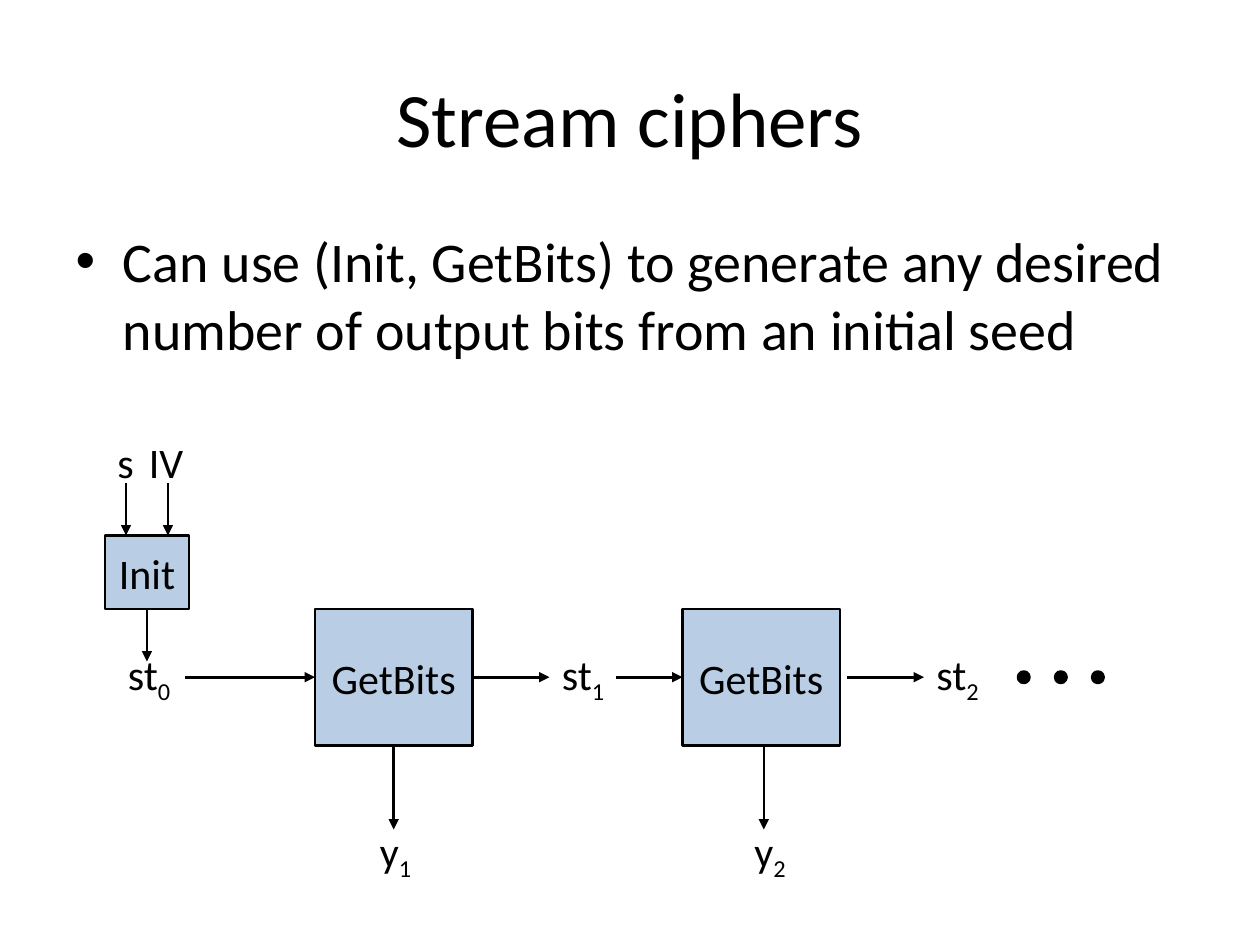
from lxml.etree import SubElement
from pptx import Presentation
from pptx.dml.color import RGBColor
from pptx.enum.shapes import MSO_CONNECTOR, MSO_SHAPE
from pptx.enum.text import MSO_ANCHOR, MSO_AUTO_SIZE, PP_ALIGN
from pptx.oxml.ns import qn
from pptx.util import Pt

THEME = {
    "font": "Calibri",
    "ink": RGBColor(0, 0, 0),
    "box": RGBColor(0xB9, 0xCD, 0xE5),
    "title": 44,
    "body": 32,
    "label": 24,
    "line": 1.5,
    "dot_line": 2,
}

TITLE = "Stream ciphers"
BULLET = ("Can use (Init, GetBits) to generate any desired "
          "number of output bits from an initial seed")

STATE_Y = 387
BOX_TOP, BOX_W, BOX_H = 348, 90, 78
INIT_LEFT, INIT_TOP, INIT_W, INIT_H = 60, 306, 48, 42
LABEL_H = 36
STATE_W, OUTPUT_W = 40, 34
INPUT_TOP, OUTPUT_TOP = 246, 468

INPUTS = [("s", 60, 24, 72), ("IV", 78, 34.5, 96)]
STATES = [("st_0", 66), ("st_1", 314), ("st_2", 528)]
STAGES = [("GetBits", 180, "y_1", 210, 225), ("GetBits", 390, "y_2", 424, 436.5)]
STATE_ARROWS = [(106, 180), (270, 314), (352, 390), (484, 528)]
DOT_LEFT, DOT_STEP, DOT_COUNT, DOT_SIZE = 582, 21.2, 3, 6


def write(frame, text, size=THEME["label"], align=PP_ALIGN.LEFT,
          anchor=MSO_ANCHOR.TOP, wrap=True):
    frame.word_wrap = wrap
    frame.vertical_anchor = anchor
    paragraph = frame.paragraphs[0]
    paragraph.alignment = align
    paragraph.space_before = Pt(0)
    for level, part in enumerate(text.split("_")):
        run = paragraph.add_run()
        run.text = part
        run.font.name = THEME["font"]
        run.font.size = Pt(size)
        run.font.color.rgb = THEME["ink"]
        if level:
            run.font._element.set("baseline", "-25000")


def place(placeholder, left, top, width, height):
    placeholder.left, placeholder.top = Pt(left), Pt(top)
    placeholder.width, placeholder.height = Pt(width), Pt(height)


def add_label(slide, text, left, top, width):
    label = slide.shapes.add_textbox(Pt(left), Pt(top), Pt(width), Pt(LABEL_H))
    write(label.text_frame, text, wrap=False)
    label.text_frame.auto_size = MSO_AUTO_SIZE.SHAPE_TO_FIT_TEXT


def add_figure(slide, kind, left, top, width, height, fill, line):
    figure = slide.shapes.add_shape(kind, Pt(left), Pt(top), Pt(width), Pt(height))
    figure.shadow.inherit = False
    figure.fill.solid()
    figure.fill.fore_color.rgb = fill
    figure.line.color.rgb = THEME["ink"]
    figure.line.width = Pt(line)
    return figure


def add_box(slide, text, left, top, width, height):
    box = add_figure(slide, MSO_SHAPE.RECTANGLE, left, top, width, height,
                     THEME["box"], THEME["line"])
    write(box.text_frame, text, align=PP_ALIGN.CENTER, anchor=MSO_ANCHOR.MIDDLE)


def add_arrow(slide, x1, y1, x2, y2):
    arrow = slide.shapes.add_connector(
        MSO_CONNECTOR.STRAIGHT, Pt(x1), Pt(y1), Pt(x2), Pt(y2))
    arrow.line.color.rgb = THEME["ink"]
    arrow.line.width = Pt(THEME["line"])
    SubElement(arrow.line._get_or_add_ln(), qn("a:tailEnd"), type="triangle")
    SubElement(arrow._element.spPr, qn("a:effectLst"))


def main():
    deck = Presentation()
    deck.slide_width, deck.slide_height = Pt(720), Pt(540)
    slide = deck.slides.add_slide(deck.slide_layouts[1])

    title, body = slide.placeholders
    place(title, 36, 21.6, 648, 90)
    write(title.text_frame, TITLE, size=THEME["title"],
          align=PP_ALIGN.CENTER, anchor=MSO_ANCHOR.MIDDLE)
    place(body, 36, 126, 648, 356.4)
    write(body.text_frame, BULLET, size=THEME["body"])

    add_box(slide, "Init", INIT_LEFT, INIT_TOP, INIT_W, INIT_H)
    for text, left, width, arrow_x in INPUTS:
        add_label(slide, text, left, INPUT_TOP, width)
        add_arrow(slide, arrow_x, INIT_TOP - 30, arrow_x, INIT_TOP)
    init_x = INIT_LEFT + INIT_W / 2
    add_arrow(slide, init_x, INIT_TOP + INIT_H, init_x, INIT_TOP + INIT_H + 30)

    for text, left in STATES:
        add_label(slide, text, left, STATE_Y - 20, STATE_W)
    for text, left, output, output_left, arrow_x in STAGES:
        add_box(slide, text, left, BOX_TOP, BOX_W, BOX_H)
        add_arrow(slide, arrow_x, BOX_TOP + BOX_H, arrow_x, BOX_TOP + BOX_H + 48)
        add_label(slide, output, output_left, OUTPUT_TOP, OUTPUT_W)
    for start, end in STATE_ARROWS:
        add_arrow(slide, start, STATE_Y, end, STATE_Y)

    for index in range(DOT_COUNT):
        add_figure(slide, MSO_SHAPE.OVAL, DOT_LEFT + index * DOT_STEP,
                   STATE_Y - DOT_SIZE / 2, DOT_SIZE, DOT_SIZE,
                   THEME["ink"], THEME["dot_line"])

    deck.save("out.pptx")


if __name__ == "__main__":
    main()
